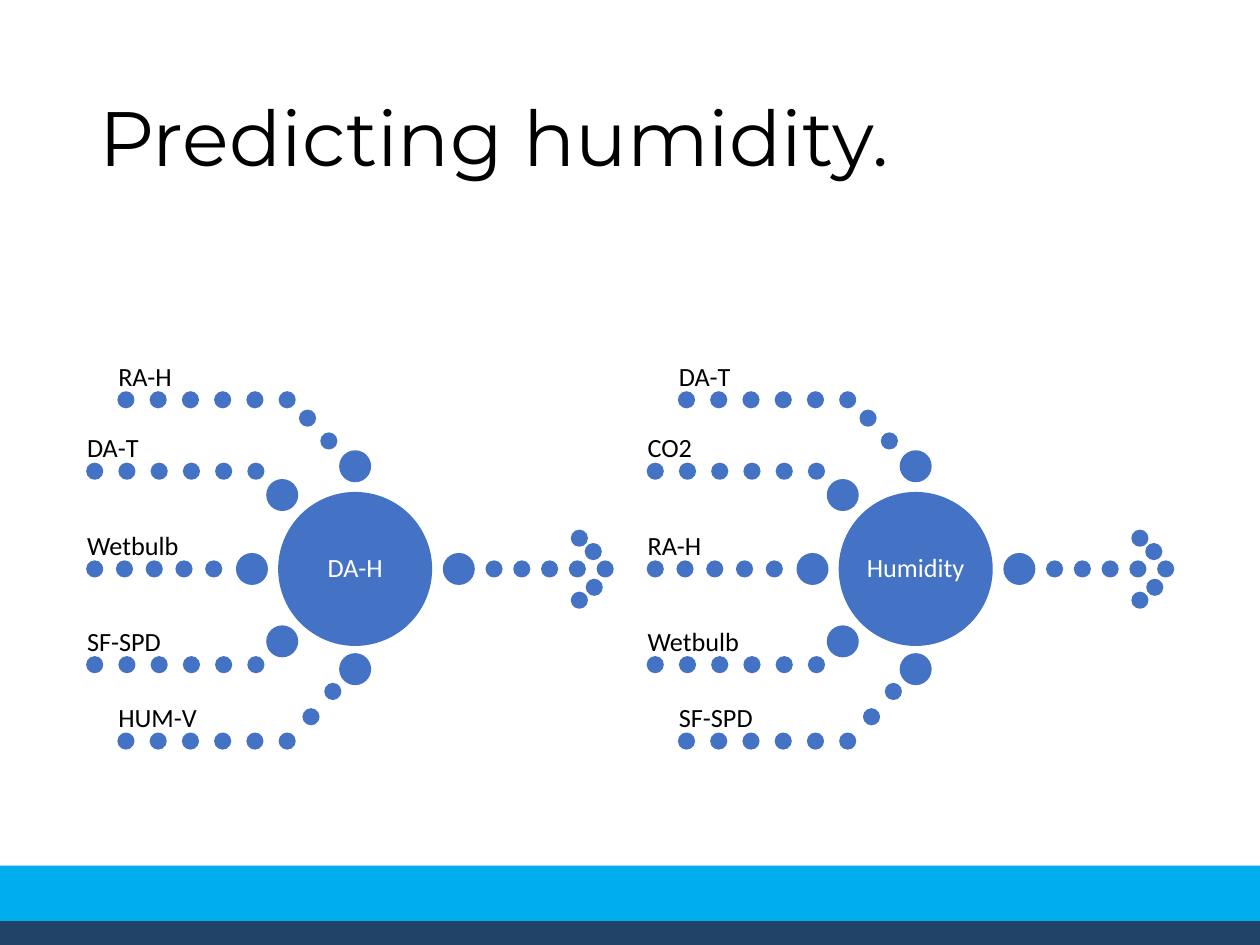
"""Build a slide with two dotted converging diagrams of the inputs that predict humidity."""
import dataclasses

import pptx
import pptx.dml.color
import pptx.enum.shapes
import pptx.enum.text
import pptx.util
from pptx.util import Cm


@dataclasses.dataclass(frozen=True)
class Theme:
    dot: str = "4472C4"
    band: str = "00ADEF"
    strip: str = "214368"
    dark: str = "000000"
    light: str = "FFFFFF"
    title_font: str = "Montserrat"
    label_font: str = "Calibri"
    title_size: int = 44
    label_size: int = 15


theme = Theme()


def add_filled(shapes, kind, left, top, width, height, color, outlined=False):
    shape = shapes.add_shape(kind, Cm(left), Cm(top), Cm(width), Cm(height))
    shape.shadow.inherit = False
    shape.fill.solid()
    shape.fill.fore_color.rgb = pptx.dml.color.RGBColor.from_string(color)
    if outlined:
        shape.line.color.rgb = pptx.dml.color.RGBColor.from_string(color)
        shape.line.width = pptx.util.Pt(1)
    else:
        shape.line.fill.background()


def set_text(shape, text, font, size, color, anchor, alignment, inset=None):
    frame = shape.text_frame
    frame.text = text
    frame.word_wrap = True
    frame.auto_size = pptx.enum.text.MSO_AUTO_SIZE.NONE
    frame.vertical_anchor = anchor
    if inset is not None:
        frame.margin_left = frame.margin_right = Cm(inset)
        frame.margin_top = frame.margin_bottom = Cm(inset)
    paragraph = frame.paragraphs[0]
    paragraph.alignment = alignment
    paragraph.line_spacing = 0.9
    run = paragraph.runs[0]
    run.font.name = font
    run.font.size = pptx.util.Pt(size)
    run.font.color.rgb = pptx.dml.color.RGBColor.from_string(color)


presentation = pptx.Presentation()
presentation.slide_width = Cm(25.4)
presentation.slide_height = Cm(19.05)
slide = presentation.slides.add_slide(presentation.slide_layouts[5])

ANCHOR = pptx.enum.text.MSO_ANCHOR
ALIGN = pptx.enum.text.PP_ALIGN
RECTANGLE = pptx.enum.shapes.MSO_SHAPE.RECTANGLE
OVAL = pptx.enum.shapes.MSO_SHAPE.OVAL

title = slide.shapes.title
title.left, title.top, title.width, title.height = Cm(1.75), Cm(1.02), Cm(21.9), Cm(3.68)
set_text(title, "Predicting humidity.", theme.title_font, theme.title_size, theme.dark,
         ANCHOR.MIDDLE, ALIGN.LEFT)

add_filled(slide.shapes, RECTANGLE, -0.05, 17.45, 25.58, 1.52, theme.band)
add_filled(slide.shapes, RECTANGLE, -0.05, 18.57, 25.58, 0.48, theme.strip)

DOT, PORT, CORE = 0.31, 0.61, 3.07
CENTER_X, AXIS_Y = 7.16, 11.47
DIAGRAM_PITCH = 11.3
LABEL_HEIGHT = 0.78

# start x, y, dot count, dot pitch, label width
input_rows = [
    (2.54, 8.06, 6, 0.65, 3.56),
    (1.91, 9.5, 6, 0.65, 3.56),
    (1.91, AXIS_Y, 5, 0.6, 2.69),
    (1.91, 13.4, 6, 0.65, 3.56),
    (2.54, 14.94, 6, 0.65, 3.56),
]
ports = [(CENTER_X, 9.4), (5.69, 9.98), (5.08, AXIS_Y), (5.69, 12.93), (CENTER_X, 13.49),
         (9.25, AXIS_Y)]
bend_dots = [(6.2, 8.43), (6.63, 8.89), (6.71, 13.94), (6.27, 14.45)]
output_dots = [(9.96 + 0.56 * index, AXIS_Y) for index in range(5)]
arrowhead_dots = [(11.68, 10.85), (11.96, 11.12), (11.98, 11.84), (11.68, 12.1)]
row_dots = [(start + pitch * index, y)
            for start, y, count, pitch, _ in input_rows for index in range(count)]

circles = [(x, y, DOT) for x, y in row_dots + bend_dots + output_dots + arrowhead_dots]
circles += [(x, y, PORT) for x, y in ports]
circles.append((CENTER_X, AXIS_Y, CORE))

diagrams = [
    ("DA-H", ["RA-H", "DA-T", "Wetbulb", "SF-SPD", "HUM-V"]),
    ("Humidity", ["DA-T", "CO2", "RA-H", "Wetbulb", "SF-SPD"]),
]

for number, (target, inputs) in enumerate(diagrams):
    offset = DIAGRAM_PITCH * number
    shapes = slide.shapes.add_group_shape().shapes
    for x, y, diameter in circles:
        add_filled(shapes, OVAL, offset + x - diameter / 2, y - diameter / 2,
                   diameter, diameter, theme.dot, outlined=True)
    core_label = shapes.add_textbox(Cm(offset + CENTER_X - 1.09), Cm(AXIS_Y - 1.09),
                                    Cm(2.18), Cm(2.18))
    set_text(core_label, target, theme.label_font, theme.label_size, theme.light,
             ANCHOR.MIDDLE, ALIGN.CENTER, 0.05)
    for name, (start, y, _, _, width) in zip(inputs, input_rows):
        label = shapes.add_textbox(Cm(offset + start - DOT / 2), Cm(y - DOT / 2 - LABEL_HEIGHT),
                                   Cm(width), Cm(LABEL_HEIGHT))
        set_text(label, name, theme.label_font, theme.label_size, theme.dark,
                 ANCHOR.BOTTOM, ALIGN.LEFT, 0)

presentation.save("out.pptx")
